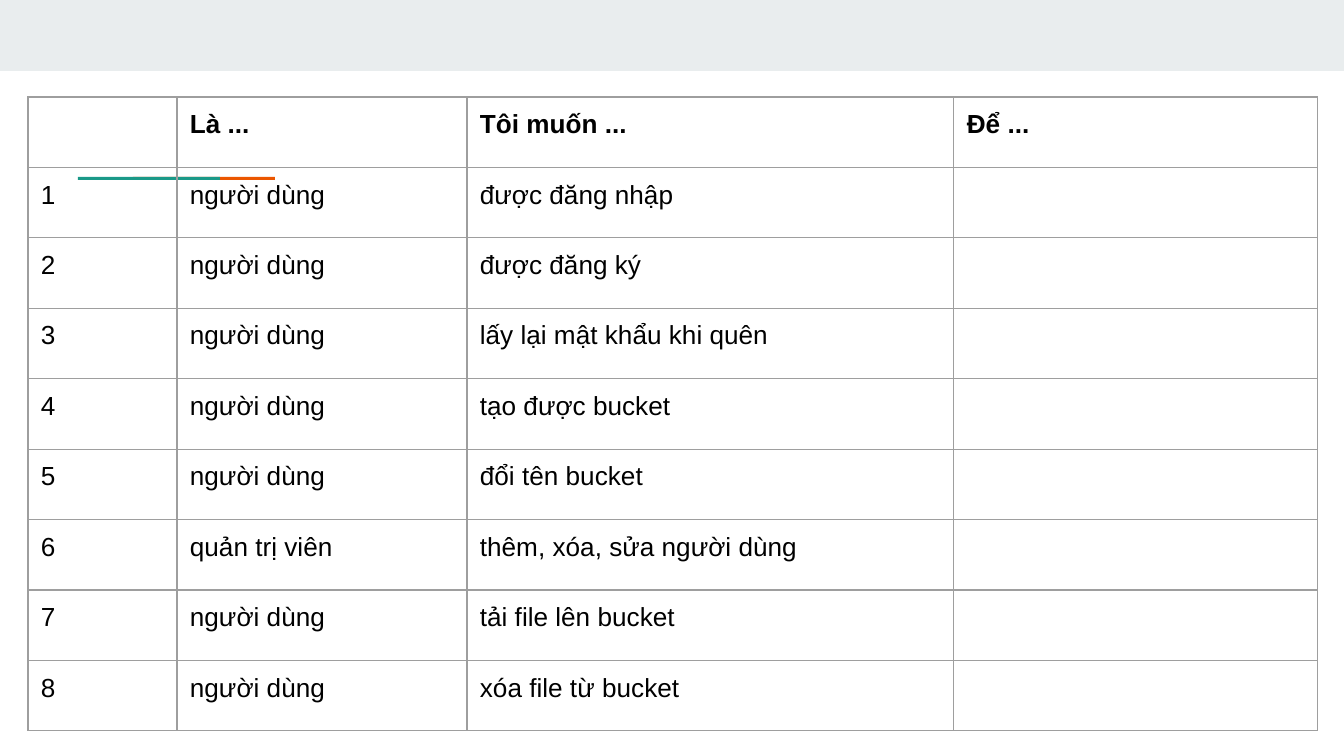
from lxml.etree import SubElement
from pptx import Presentation
from pptx.dml.color import RGBColor
from pptx.enum.shapes import MSO_SHAPE
from pptx.oxml.ns import qn
from pptx.util import Pt

HEADER = ("", "Là ...", "Tôi muốn ...", "Để ...")
USER, ADMIN = "người dùng", "quản trị viên"
STORIES = [
    (USER, "được đăng nhập"),
    (USER, "được đăng ký"),
    (USER, "lấy lại mật khẩu khi quên"),
    (USER, "tạo được bucket"),
    (USER, "đổi tên bucket"),
    (ADMIN, "thêm, xóa, sửa người dùng"),
    (USER, "tải file lên bucket"),
    (USER, "xóa file từ bucket"),
]

BLACK = RGBColor(0x00, 0x00, 0x00)
BAND = RGBColor(0xE9, 0xED, 0xEE)
ORANGE = RGBColor(0xEB, 0x56, 0x00)
TEAL = RGBColor(0x1A, 0x99, 0x88)
GRID = RGBColor(0x9E, 0x9E, 0x9E)

PX = 914400 / 134.4
PAGE_WIDTH, PAGE_HEIGHT = 1344, 756
TABLE_LEFT, TABLE_TOP, TABLE_HEIGHT = 28, 97, 634
COLUMN_WIDTHS = (149, 290, 487, 364)
CELL_MARGIN = 13
# left, top, width, height, colour
BARS = [
    (0, 0, PAGE_WIDTH, 71, BAND),
    (133, 177, 142, 3, ORANGE),
    (78, 177, 142, 3, TEAL),
]


def px(length):
    return round(length * PX)


def add_bar(page, left, top, width, height, colour):
    bar = page.shapes.add_shape(
        MSO_SHAPE.RECTANGLE, px(left), px(top), px(width), px(height))
    bar.shadow.inherit = False
    bar.fill.solid()
    bar.fill.fore_color.rgb = colour
    bar.line.fill.background()


def add_borders(cell):
    properties = cell._tc.get_or_add_tcPr()
    for position, side in enumerate(("a:lnL", "a:lnR", "a:lnT", "a:lnB")):
        line = SubElement(properties, qn(side), w=str(Pt(0.75)))
        fill = SubElement(line, qn("a:solidFill"))
        SubElement(fill, qn("a:srgbClr"), val=str(GRID))
        properties.insert(position, line)


def format_cell(cell, text, bold):
    cell.fill.background()
    add_borders(cell)
    cell.margin_left = cell.margin_right = px(CELL_MARGIN)
    cell.margin_top = cell.margin_bottom = px(CELL_MARGIN)
    if not text:
        return
    cell.text_frame.text = text
    font = cell.text_frame.paragraphs[0].runs[0].font
    font.name = "Arial"
    font.size = Pt(14)
    font.bold = bold
    font.color.rgb = BLACK


def add_story_table(page):
    rows = [HEADER]
    for number, (role, wish) in enumerate(STORIES, 1):
        rows.append((str(number), role, wish, ""))
    table = page.shapes.add_table(
        len(rows), len(HEADER), px(TABLE_LEFT), px(TABLE_TOP),
        px(sum(COLUMN_WIDTHS)), px(TABLE_HEIGHT)).table
    table.first_row = table.horz_banding = False
    for column, width in zip(table.columns, COLUMN_WIDTHS):
        column.width = px(width)
    for r, texts in enumerate(rows):
        for c, text in enumerate(texts):
            format_cell(table.cell(r, c), text, bold=r == 0)


def main():
    deck = Presentation()
    deck.slide_width, deck.slide_height = px(PAGE_WIDTH), px(PAGE_HEIGHT)
    page = deck.slides.add_slide(deck.slide_layouts[6])
    for bar in BARS:
        add_bar(page, *bar)
    add_story_table(page)
    deck.save("out.pptx")


if __name__ == "__main__":
    main()
